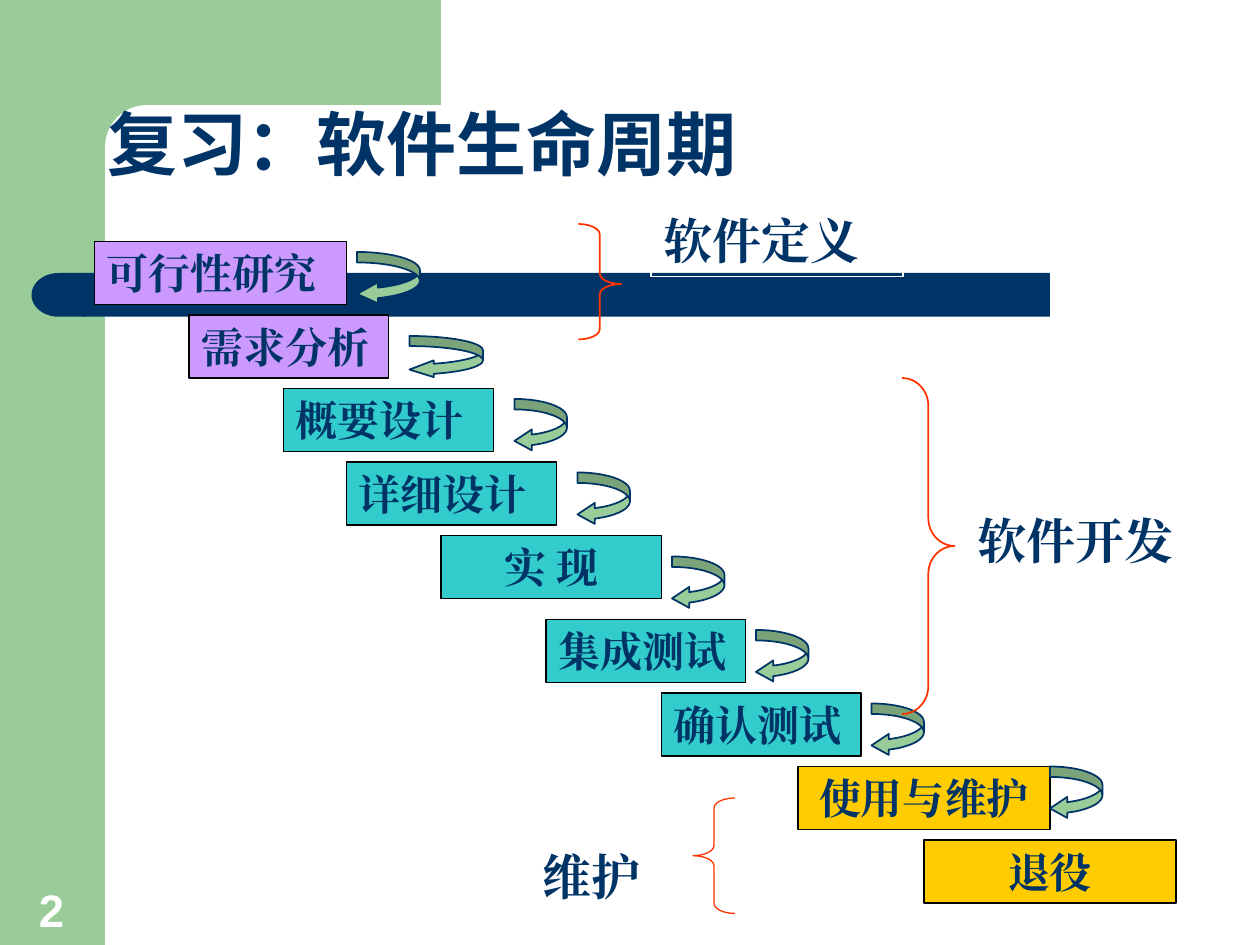
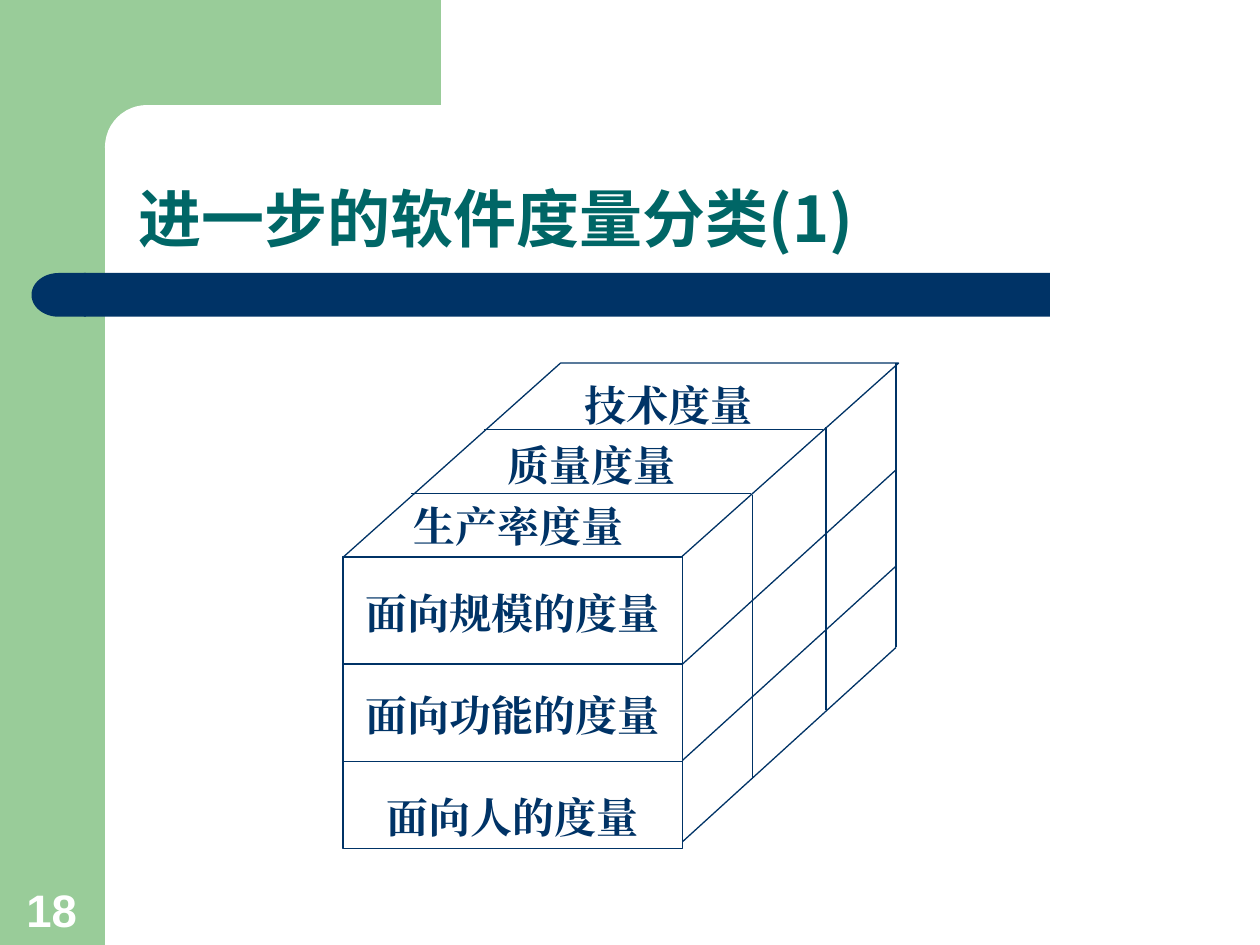
"""Build two slides: the software life cycle and a cube of software metrics."""
from lxml.etree import SubElement
from pptx import Presentation
from pptx.dml.color import RGBColor
from pptx.enum.shapes import MSO_CONNECTOR as CONN, MSO_SHAPE as SHAPE
from pptx.enum.text import MSO_ANCHOR as ANCHOR, PP_ALIGN as ALIGN
from pptx.oxml.ns import qn
from pptx.util import Pt

COLORS = {"green": "99CC99", "navy": "003366", "white": "FFFFFF", "black": "000000",
          "violet": "CC99FF", "teal": "33CCCC", "gold": "FFCC00", "red": "FF3300",
          "title": "006666"}
RGB = {name: RGBColor.from_string(value) for name, value in COLORS.items()}
SERIF, SANS = "Times New Roman", "Noto Sans CJK SC"
LEFT, CENTER = ALIGN.LEFT, ALIGN.CENTER


def add_shape(s, kind, box, fill=None, line=None, width=0.75, adj=()):
    sp = s.shapes.add_shape(kind, *map(Pt, box))
    sp.shadow.inherit = False
    if fill:
        sp.fill.solid()
        sp.fill.fore_color.rgb = RGB[fill]
    else:
        sp.fill.background()
    if line:
        sp.line.color.rgb = RGB[line]
        sp.line.width = Pt(width)
    else:
        sp.line.fill.background()
    for i, value in enumerate(adj):
        sp.adjustments[i] = value
    return sp


def write(sp, lines, size, color="navy", font=SERIF, align=LEFT, anchor=ANCHOR.TOP,
          spacing=None, before=0, indents=()):
    tf = sp.text_frame
    tf.word_wrap = True
    tf.vertical_anchor = anchor
    for i, line in enumerate(lines):
        p = tf.add_paragraph() if i else tf.paragraphs[0]
        p.alignment = align
        p.space_before = Pt(before if i else 0)
        if spacing:
            p.line_spacing = spacing
        if indents:
            p._p.get_or_add_pPr().set("marL", str(Pt(indents[i])))
        r = p.add_run()
        r.text = line
        style = {"size": Pt(size), "bold": True, "name": font}
        for key, value in style.items():
            setattr(r.font, key, value)
        r.font.color.rgb = RGB[color]
        SubElement(r._r.get_or_add_rPr(), qn("a:ea")).set("typeface", font)


prs = Presentation()
prs.slide_width, prs.slide_height = Pt(720), Pt(540)
layout = prs.slide_layouts[5]
life, cube = [prs.slides.add_slide(layout) for _ in range(2)]

bands = [
    (SHAPE.RECTANGLE, (0, 0, 60, 540), "green", ()),
    (SHAPE.RECTANGLE, (54, 0, 198, 84), "green", ()),
    (SHAPE.ROUNDED_RECTANGLE, (60, 60, 402, 48), "white", (0.5,)),
    (SHAPE.RECTANGLE, (48, 156, 552, 25), "navy", ()),
    (SHAPE.FLOWCHART_DELAY, (18, 156, 31, 25), "navy", ()),
]
for i, (kind, box, fill, adj) in enumerate(bands):
    sp = add_shape(life, kind, box, fill, adj=adj)
    if kind == SHAPE.FLOWCHART_DELAY:
        sp.rotation = 180
    layout.shapes._spTree.insert(2 + i, sp._element)

headers = [
    (life, "2", "复习：软件生命周期", (54, 54, 646, 55), 40, "navy", ANCHOR.TOP, None),
    (cube, "18", "进一步的软件度量分类(1)", (72, 60, 630, 90), 36, "title", ANCHOR.BOTTOM, 0.9),
]
for s, number, text, box, size, color, anchor, spacing in headers:
    title = s.shapes.title
    title.left, title.top, title.width, title.height = map(Pt, box)
    write(title, [text], size, color, SANS, anchor=anchor, spacing=spacing)
    page = s.shapes.add_textbox(Pt(6.5), Pt(499.5), Pt(46), Pt(39))
    write(page, [number], 26, "white", "Arial", CENTER, ANCHOR.BOTTOM)

stages = [
    ("可行性研究", 54, 138, 144, "violet", LEFT),
    ("需求分析", 108, 180, 114, "violet", LEFT),
    ("概要设计", 162, 222, 120, "teal", LEFT),
    ("详细设计", 198, 264, 120, "teal", LEFT),
    ("实 现", 252, 306, 126, "teal", CENTER),
    ("集成测试", 312, 354, 114, "teal", LEFT),
    ("确认测试", 378, 396, 114, "teal", LEFT),
    ("使用与维护", 456, 438, 144, "gold", CENTER),
    ("退役", 528, 480, 144, "gold", CENTER),
]
for text, x, y, w, fill, align in stages:
    write(add_shape(life, SHAPE.RECTANGLE, (x, y, w, 36), fill, "black"), [text], 24, align=align)

arrows = [(204, 144, 36, 30, (0.2, 0.4, 0.4)), (234, 192, 42, 24, (0.24, 0.4, 0.58))]
arrows += [(x, y, 30, 30, (0.2, 0.4, 0.33)) for x, y in
           [(294, 228), (330, 270), (384, 318), (432, 360), (498, 402), (600, 438)]]
for *box, adj in arrows:
    add_shape(life, SHAPE.CURVED_LEFT_ARROW, box, "green", "navy", 1, adj)

phases = [
    ("软件定义", (372, 117, 144, 41), "white", SHAPE.RIGHT_BRACE, (330.5, 128, 24.5, 66), 1, (0.24, 0.52)),
    ("软件开发", (551.5, 288, 144, 41), None, SHAPE.RIGHT_BRACE, (515.5, 216, 30, 192), 1, (0.53, 0.5)),
    ("维护", (303, 480, 86.5, 41), None, SHAPE.LEFT_BRACE, (396, 456, 24, 66), 0.75, (0.24, 0.5)),
]
for text, box, border, kind, brace, width, adj in phases:
    add_shape(life, kind, brace, line="red", width=width, adj=adj)
    write(add_shape(life, SHAPE.RECTANGLE, box, line=border, width=1), [text], 28)

x0, x1, top, back = 196, 390, 318, 207.5
front = add_shape(cube, SHAPE.RECTANGLE, (x0, top, x1 - x0, 167), line="navy")
write(front, ["面向规模的度量", "面向功能的度量", "面向人的度量"], 24, align=CENTER,
      spacing=1.5, before=15)
labels = cube.shapes.add_textbox(Pt(229), Pt(back), Pt(222), Pt(145))
write(labels, ["技术度量", "质量度量", "生产率度量"], 24, spacing=1.2, indents=(98, 54, 0))
add_shape(cube, SHAPE.PARALLELOGRAM, (x0, back, 317.5, 111), line="navy", adj=(1.12,))

edges = [(x0, y, x1, y) for y in (379.5, 435)]
edges += [(x, y, x + 194, y) for x, y in [(276.5, 245.5), (235, 282)]]
edges += [(x, y, x, y + 162) for x, y in [(430, 283), (472, 244), (512, back)]]
edges += [(x1, y, x1 + 122, y - 111) for y in (379.5, 434.5, 481)]
for edge in edges:
    c = cube.shapes.add_connector(CONN.STRAIGHT, *map(Pt, edge))
    c.line.color.rgb = RGB["navy"]
    c.line.width = Pt(0.75)
    SubElement(c._element.spPr, qn("a:effectLst"))

prs.save("out.pptx")
